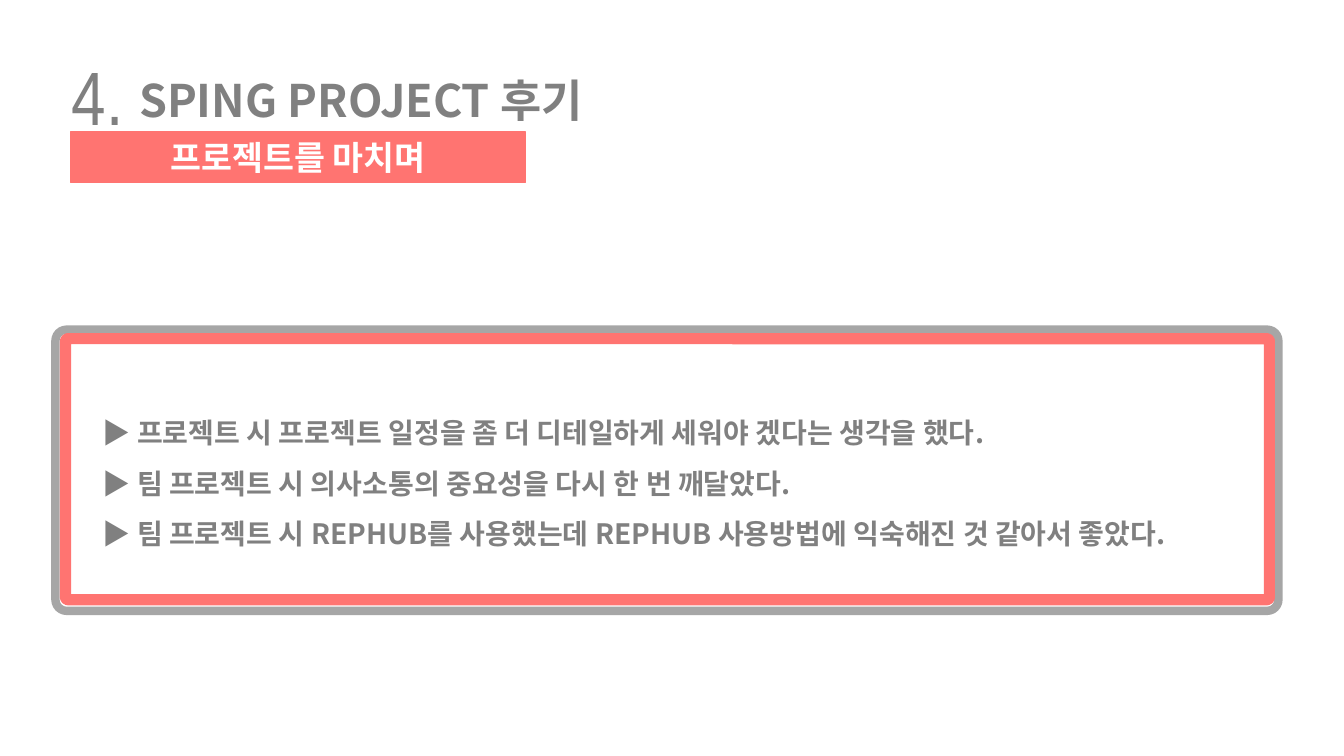
from lxml.etree import SubElement
from pptx import Presentation
from pptx.dml.color import RGBColor
from pptx.enum.shapes import MSO_SHAPE as Shape
from pptx.enum.text import MSO_ANCHOR as Anchor, MSO_AUTO_SIZE as AutoSize, PP_ALIGN as Align
from pptx.oxml.ns import qn
from pptx.util import Inches, Pt

KOREAN = "Noto Sans CJK KR"
CORAL, GREY, SILVER, WHITE = "FF7471", "808080", "A6A6A6", "FFFFFF"

HEADING = dict(size=Pt(32), name=KOREAN, bold=True)
NUMBER = dict(size=Pt(54), name="Arial Narrow", bold=False)
BANNER = dict(size=Pt(24), name=KOREAN, bold=True)
REVIEW = dict(size=Pt(20), name=KOREAN, bold=True)

REVIEWS = [
    "▶ 프로젝트 시 프로젝트 일정을 좀 더 디테일하게 세워야 겠다는 생각을 했다.",
    "▶ 팀 프로젝트 시 의사소통의 중요성을 다시 한 번 깨달았다.",
    "▶ 팀 프로젝트 시 REPHUB를 사용했는데 REPHUB 사용방법에 익숙해진 것 같아서 좋았다.",
]


def color(value):
    return RGBColor.from_string(value)


def place(shape, box):
    for side, length in zip(("left", "top", "width", "height"), box):
        setattr(shape, side, Inches(length))


def write(shape, lines, style, text_color=GREY, align=Align.LEFT,
          anchor=Anchor.TOP, spacing=1.0, wrap=True):
    frame = shape.text_frame
    frame.text = "\n".join(lines)
    frame_format = dict(word_wrap=wrap, auto_size=AutoSize.NONE, vertical_anchor=anchor)
    for name, value in frame_format.items():
        setattr(frame, name, value)
    for paragraph in frame.paragraphs:
        paragraph.alignment = align
        paragraph.line_spacing = spacing
        for run in paragraph.runs:
            run.font.color.rgb = color(text_color)
            for name, value in style.items():
                setattr(run.font, name, value)
            # Hangul takes its typeface from the East Asian font slot
            SubElement(run.font._element, qn("a:ea"), typeface=style["name"])


def add_text(slide, box, lines, style, **options):
    textbox = slide.shapes.add_textbox(*map(Inches, box))
    write(textbox, lines, style, **options)


def add_panel(slide, box, line, width, fill=None, radius=None):
    kind = Shape.RECTANGLE if radius is None else Shape.ROUNDED_RECTANGLE
    panel = slide.shapes.add_shape(kind, *map(Inches, box))
    panel.shadow.inherit = False
    if radius is not None:
        panel.adjustments[0] = radius
    if fill:
        panel.fill.solid()
        panel.fill.fore_color.rgb = color(fill)
    else:
        panel.fill.background()
    panel.line.color.rgb = color(line)
    panel.line.width = Pt(width)
    return panel


def main():
    presentation = Presentation()
    presentation.slide_width, presentation.slide_height = Inches(13.33), Inches(7.5)
    slide = presentation.slides.add_slide(presentation.slide_layouts.get_by_name("Title Only"))

    title = slide.shapes.title
    place(title, (1.28, 0.67, 4.85, 0.64))
    write(title, ["SPING PROJECT 후기"], HEADING)
    add_text(slide, (0.61, 0.45, 0.72, 1.01), ["4."], NUMBER, align=Align.CENTER, wrap=False)

    banner = add_panel(slide, (0.7, 1.31, 4.51, 0.5), CORAL, 0.75, fill=CORAL)
    write(banner, ["프로젝트를 마치며"], BANNER, text_color=WHITE,
          align=Align.CENTER, anchor=Anchor.MIDDLE)

    add_panel(slide, (0.55, 3.27, 12.13, 2.79), SILVER, 6, fill=WHITE, radius=0.04)
    add_panel(slide, (0.65, 3.36, 11.94, 2.59), CORAL, 8, radius=0.01)
    add_text(slide, (0.92, 3.91, 11.44, 1.55), REVIEWS, REVIEW, spacing=1.5)

    presentation.save("out.pptx")


if __name__ == "__main__":
    main()
